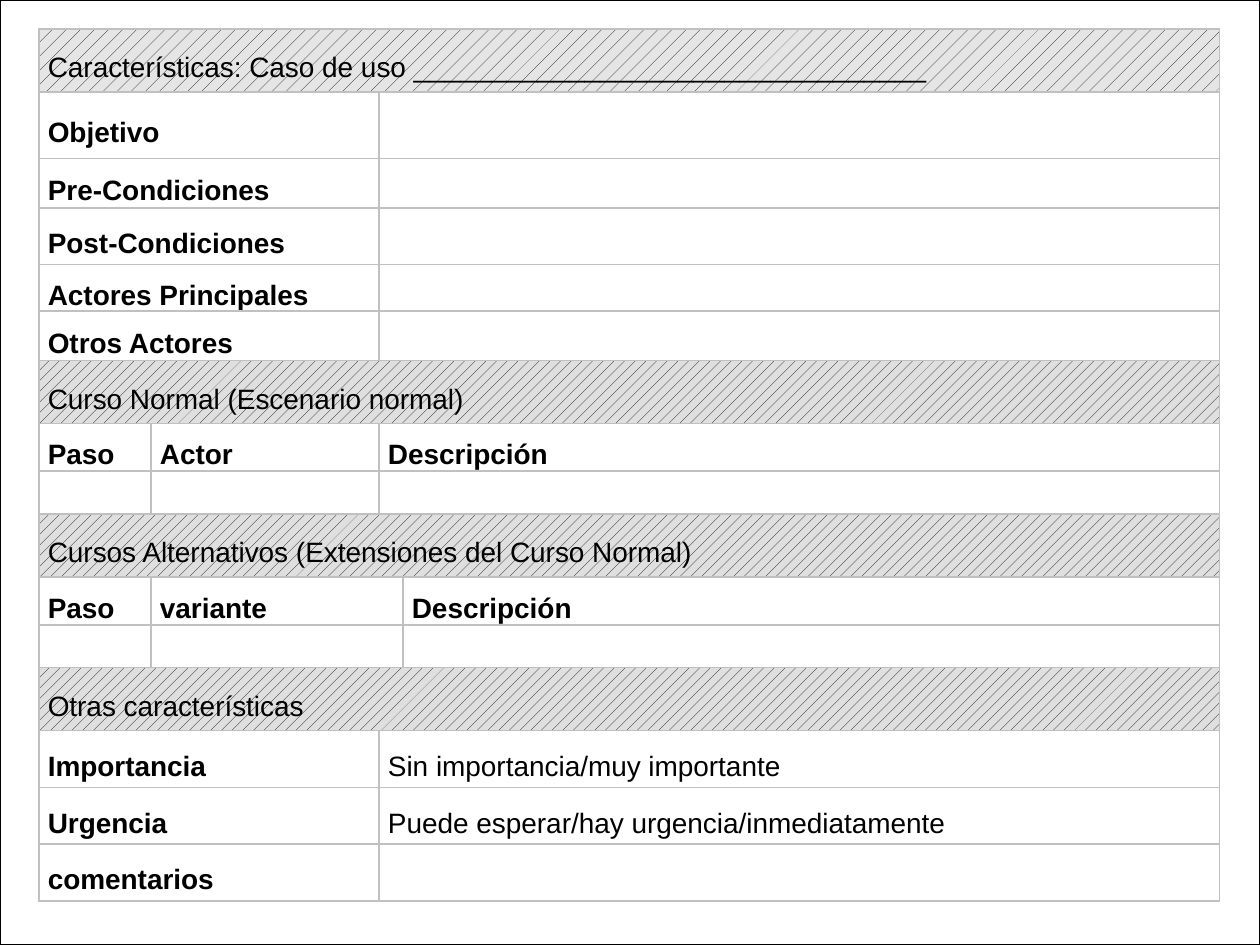
import pptx
import pptx.dml.color
import pptx.enum.dml
import pptx.enum.shapes
import pptx.enum.text
import pptx.oxml
import pptx.util
from pptx.util import Inches

PATTERNS = pptx.enum.dml.MSO_PATTERN
COLUMN_WIDTHS = [0.89, 1.81, 0.19, 6.48]
FIELD, STEP, VARIANT = (2, 2), (1, 1, 2), (1, 2, 1)

# Row height, column spans, texts, whether the first row of labels is bold
TITLE = "Características: Caso de uso " + "_" * 33
ROWS = [
    (0.5, (4,), [TITLE]),
    (0.53, FIELD, ["Objetivo", ""]),
    (0.39, FIELD, ["Pre-Condiciones", ""]),
    (0.45, FIELD, ["Post-Condiciones", ""]),
    (0.34, FIELD, ["Actores Principales", ""]),
    (0.39, FIELD, ["Otros Actores", ""]),
    (0.5, (4,), ["Curso Normal (Escenario normal)"]),
    (0.38, STEP, ["Paso", "Actor", "Descripción"]),
    (0.34, STEP, ["", "", ""]),
    (0.5, (4,), ["Cursos Alternativos (Extensiones del Curso Normal)"]),
    (0.38, VARIANT, ["Paso", "variante", "Descripción"]),
    (0.34, VARIANT, ["", "", ""]),
    (0.5, (4,), ["Otras características"]),
    (0.45, FIELD, ["Importancia", "Sin importancia/muy importante"]),
    (0.45, FIELD, ["Urgencia", "Puede esperar/hay urgencia/inmediatamente"]),
    (0.45, FIELD, ["comentarios", ""]),
]


def color(value):
    """Turn a hex string into a colour."""
    return pptx.dml.color.RGBColor.from_string(value)


def add_frame(page, width, height):
    """Draw the white, black-edged frame around the page."""
    frame = page.shapes.add_shape(
        pptx.enum.shapes.MSO_SHAPE.RECTANGLE, 0, 0, width, height)
    frame.shadow.inherit = False
    frame.fill.solid()
    frame.fill.fore_color.rgb = color("FFFFFF")
    frame.line.color.rgb = color("000000")
    frame.line.width = pptx.util.Pt(1)


def clear_cell(cell):
    """Give a cell grey borders, side insets and no fill."""
    properties = cell._tc.get_or_add_tcPr()
    for side in ("lnL", "lnR", "lnT", "lnB"):
        border = pptx.oxml.parse_xml(
            f'<a:{side} xmlns:a="http://schemas.openxmlformats.org/drawingml/2006/main" '
            'w="12700"><a:solidFill><a:srgbClr val="C0C0C0"/></a:solidFill>'
            f'</a:{side}>')
        properties.append(border)
    cell.fill.background()
    cell.margin_left = cell.margin_right = Inches(0.07)
    cell.margin_top = cell.margin_bottom = 0
    cell.vertical_anchor = pptx.enum.text.MSO_ANCHOR.MIDDLE


def hatch_cell(cell, pattern, background):
    """Fill a heading cell with a dotted pattern."""
    cell.fill.patterned()
    cell.fill.pattern = pattern
    cell.fill.fore_color.rgb = color("000000")
    cell.fill.back_color.rgb = color(background)


def write_cell(cell, text, bold):
    """Write one justified line of text in a cell."""
    para = cell.text_frame.paragraphs[0]
    para.alignment = pptx.enum.text.PP_ALIGN.JUSTIFY
    para.line_spacing = 1.5
    span = para.add_run()
    span.text = text
    span.font.name = "Arial"
    span.font.size = pptx.util.Pt(16)
    span.font.bold = bold
    span.font.color.rgb = color("000000")


def fill_row(table, row, spans, texts):
    """Merge the cells of a row and write its texts."""
    column = 0
    for span, text in zip(spans, texts):
        cell = table.cell(row, column)
        if span > 1:
            cell.merge(table.cell(row, column + span - 1))
        if span == 4:
            first = row == 0
            hatch_cell(cell, PATTERNS.PERCENT_10 if first else PATTERNS.PERCENT_20,
                       "E5E5E5" if first else "DFDFDF")
        if text:
            is_value = spans == FIELD and column > 0
            write_cell(cell, text, bold=span < 4 and not is_value)
        column += span


def add_use_case_table(page):
    """Build the use case template as one table."""
    table = page.shapes.add_table(
        len(ROWS), len(COLUMN_WIDTHS), Inches(0.31), Inches(0.23),
        Inches(sum(COLUMN_WIDTHS)), Inches(sum(row[0] for row in ROWS))).table
    table.first_row = table.horz_banding = False
    for column, width in zip(table.columns, COLUMN_WIDTHS):
        column.width = Inches(width)
    for cell in table.iter_cells():
        clear_cell(cell)
    for index, (height, spans, texts) in enumerate(ROWS):
        table.rows[index].height = Inches(height)
        fill_row(table, index, spans, texts)


def main():
    """Create the slide and save it."""
    deck = pptx.Presentation()
    deck.slide_width, deck.slide_height = Inches(10), Inches(7.5)
    page = deck.slides.add_slide(deck.slide_layouts[6])
    add_frame(page, deck.slide_width, deck.slide_height)
    add_use_case_table(page)
    deck.save("out.pptx")


main()
